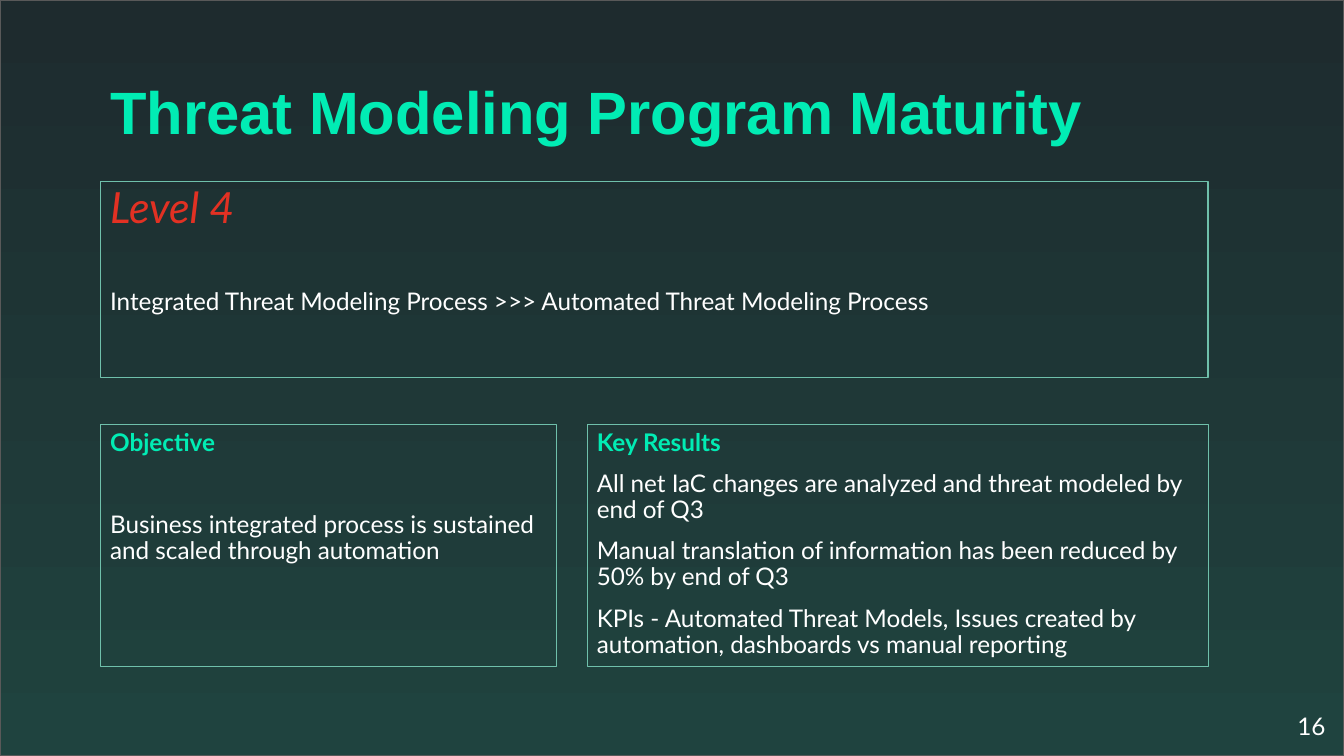
from pptx import Presentation
from pptx.dml.color import RGBColor
from pptx.enum.shapes import MSO_SHAPE
from pptx.enum.text import MSO_ANCHOR, PP_ALIGN
from pptx.util import Inches, Pt

MINT = "01ECB4"
RED = "E23123"
WHITE = "FFFFFF"
BORDER = "6FC0AB"
WIDTH = 10
HEIGHT = WIDTH * 9 / 16
LEFT, RIGHT = 0.75, 8.99
BODY_SIZE = 13
NEAR, FAR = 8, 30


def color(hex_value):
    return RGBColor.from_string(hex_value)


class SlideBuilder:
    def __init__(self, slide):
        self.slide = slide

    def background(self, top_color, bottom_color):
        shape = self.rectangle(0, 0, WIDTH, HEIGHT, "595959")
        shape.fill.gradient()
        shape.fill.gradient_angle = 270
        for stop, hex_value in zip(shape.fill.gradient_stops, (top_color, bottom_color)):
            stop.color.rgb = color(hex_value)

    def rectangle(self, left, top, width, height, line_color):
        shape = self.slide.shapes.add_shape(
            MSO_SHAPE.RECTANGLE, Inches(left), Inches(top), Inches(width), Inches(height))
        shape.shadow.inherit = False
        shape.fill.background()
        shape.line.color.rgb = color(line_color)
        shape.line.width = Pt(0.75)
        return shape

    def frame(self, shape, anchor=MSO_ANCHOR.TOP, horizontal=0.07, vertical=0.04):
        """Set wrapping, anchor and insets, and return the text frame."""
        frame = shape.text_frame
        frame.word_wrap = True
        frame.vertical_anchor = anchor
        frame.margin_left = frame.margin_right = Inches(horizontal)
        frame.margin_top = frame.margin_bottom = Inches(vertical)
        return frame

    def text_box(self, left, top, width, height, **layout):
        shape = self.slide.shapes.add_textbox(
            Inches(left), Inches(top), Inches(width), Inches(height))
        return self.frame(shape, **layout)

    def run(self, paragraph, text, size=BODY_SIZE, hex_value=WHITE, font="Lato",
            bold=False, italic=False):
        run = paragraph.add_run()
        run.text = text
        run.font.name = font
        run.font.size = Pt(size)
        run.font.bold = bold
        run.font.italic = italic
        run.font.color.rgb = color(hex_value)

    def title(self, text):
        frame = self.text_box(LEFT, 0.5, 8.57, 0.64, anchor=MSO_ANCHOR.BOTTOM)
        paragraph = frame.paragraphs[0]
        paragraph.line_spacing = 0.9
        self.run(paragraph, text, 32, MINT, "Arial", bold=True)

    def panel(self, left, top, right, height, heading, lines, first_gap, **heading_style):
        """Draw an outlined box with a heading and body paragraphs."""
        shape = self.rectangle(left, top, right - left, height, BORDER)
        frame = self.frame(shape)
        paragraph = frame.paragraphs[0]
        self.run(paragraph, heading, **heading_style)
        for index, line in enumerate(lines):
            paragraph = frame.add_paragraph()
            paragraph.space_before = Pt(NEAR if index else first_gap)
            self.run(paragraph, line)
        for paragraph in frame.paragraphs:
            paragraph.alignment = PP_ALIGN.LEFT
            paragraph.line_spacing = 0.9

    def page_number(self, text):
        frame = self.text_box(9.36, 5.19, 0.6, 0.43, horizontal=0.1, vertical=0.1)
        paragraph = frame.paragraphs[0]
        paragraph.alignment = PP_ALIGN.RIGHT
        self.run(paragraph, text)


def main():
    presentation = Presentation()
    presentation.slide_width = Inches(WIDTH)
    presentation.slide_height = Inches(HEIGHT)
    builder = SlideBuilder(presentation.slides.add_slide(presentation.slide_layouts[6]))

    builder.background("1E2B2E", "1F433F")
    builder.title("Threat Modeling Program Maturity")
    builder.panel(
        LEFT, 1.35, RIGHT, 1.46, "Level 4",
        ["Integrated Threat Modeling Process >>> Automated Threat Modeling Process"],
        FAR, size=23, hex_value=RED, italic=True)
    builder.panel(
        LEFT, 3.16, 4.14, 1.8, "Objective",
        ["Business integrated process is sustained and scaled through automation"],
        FAR, hex_value=MINT, bold=True)
    builder.panel(
        4.37, 3.16, RIGHT, 1.8, "Key Results",
        ["All net IaC changes are analyzed and threat modeled by end of Q3",
         "Manual translation of information has been reduced by 50% by end of Q3",
         "KPIs - Automated Threat Models, Issues created by automation, "
         "dashboards vs manual reporting"],
        NEAR, hex_value=MINT, bold=True)
    builder.page_number("16")
    presentation.save("out.pptx")


if __name__ == "__main__":
    main()
